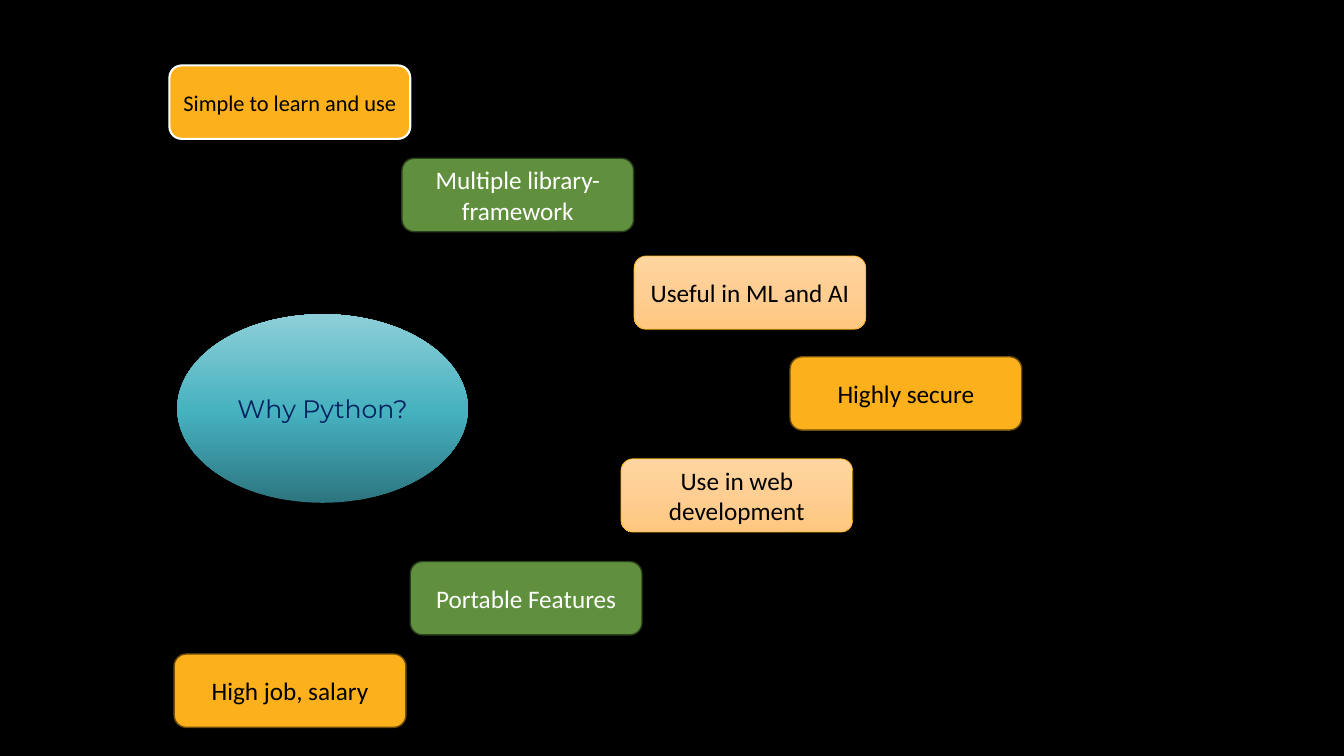
import copy

import pptx
import pptx.dml.color
import pptx.enum.shapes
import pptx.enum.text
import pptx.oxml.ns
import pptx.util

Cm = pptx.util.Cm
Pt = pptx.util.Pt
RGBColor = pptx.dml.color.RGBColor
SHAPE = pptx.enum.shapes.MSO_SHAPE

BLACK = RGBColor(0x00, 0x00, 0x00)
WHITE = RGBColor(0xFF, 0xFF, 0xFF)
NAVY = RGBColor(0x00, 0x20, 0x60)
AMBER = RGBColor(0xFC, 0xB1, 0x1C)
BROWN = RGBColor(0x6E, 0x4E, 0x0C)
GREEN = RGBColor(0x60, 0x8F, 0x3D)
FOREST = RGBColor(0x2A, 0x3F, 0x1B)
TEAL = [
    (0, RGBColor(0x2C, 0x75, 0x7F)),
    (0.48, RGBColor(0x46, 0xB1, 0xBF)),
    (1, RGBColor(0x8D, 0xCF, 0xD8)),
]
PEACH = [
    (0, RGBColor(0xFF, 0xD5, 0xA1)),
    (0.5, RGBColor(0xFF, 0xCE, 0x93)),
    (1, RGBColor(0xFF, 0xC7, 0x7F)),
]

GOLD = (AMBER, BROWN, 1, BLACK)
LEAF = (GREEN, FOREST, 1, WHITE)
SAND = (PEACH, AMBER, 0.5, BLACK)
FIRST = (AMBER, WHITE, 1.5, BLACK)

WIDTH = 5.84
HEIGHT = 1.85


class Deck:
    def __init__(self):
        self.show = pptx.Presentation()
        self.show.slide_width = Cm(33.87)
        self.show.slide_height = Cm(19.05)
        self.slide = self.show.slides.add_slide(self.show.slide_layouts[6])
        back = self.slide.background.fill
        back.solid()
        back.fore_color.rgb = BLACK

    def blend(self, shape, stops, angle):
        fill = shape.fill
        fill.gradient()
        fill.gradient_angle = angle
        marks = shape.element.spPr.find(".//" + pptx.oxml.ns.qn("a:gsLst"))
        marks.append(copy.deepcopy(marks[-1]))
        for mark, (place, color) in zip(fill.gradient_stops, stops):
            mark.position = place
            mark.color.rgb = color

    def shape(self, kind, text, left, top, width, height, color, size, font):
        shape = self.slide.shapes.add_shape(
            kind, Cm(left), Cm(top), Cm(width), Cm(height))
        shape.shadow.inherit = False
        frame = shape.text_frame
        frame.text = text
        frame.word_wrap = True
        frame.vertical_anchor = pptx.enum.text.MSO_ANCHOR.MIDDLE
        line = frame.paragraphs[0]
        line.alignment = pptx.enum.text.PP_ALIGN.CENTER
        face = line.runs[0].font
        face.name = font
        face.size = Pt(size)
        face.color.rgb = color
        return shape

    def oval(self, text, left, top, width, height):
        shape = self.shape(SHAPE.OVAL, text, left, top, width, height,
                           NAVY, 18, "Montserrat")
        self.blend(shape, TEAL, 90)
        shape.line.fill.background()

    def box(self, text, left, top, style, width=WIDTH, size=18):
        fill, edge, weight, color = style
        shape = self.shape(SHAPE.ROUNDED_RECTANGLE, text, left, top, width,
                           HEIGHT, color, size, "Calibri")
        if fill is PEACH:
            self.blend(shape, fill, 270)
        else:
            shape.fill.solid()
            shape.fill.fore_color.rgb = fill
        shape.line.color.rgb = edge
        shape.line.width = Pt(weight)


def main():
    deck = Deck()
    deck.oval("Why Python?", 4.47, 7.92, 7.32, 4.75)
    deck.box("Simple to learn and use", 4.27, 1.65, FIRST, 6.07, 16)
    for text, left, top, style in [
        ("Multiple library-framework", 10.13, 3.99, LEAF),
        ("Useful in ML and AI", 15.98, 6.45, SAND),
        ("Highly secure", 19.91, 8.99, GOLD),
        ("Use in web development", 15.65, 11.56, SAND),
        ("Portable Features", 10.34, 14.15, LEAF),
        ("High job, salary", 4.39, 16.48, GOLD),
    ]:
        deck.box(text, left, top, style)
    deck.show.save("out.pptx")


if __name__ == "__main__":
    main()
